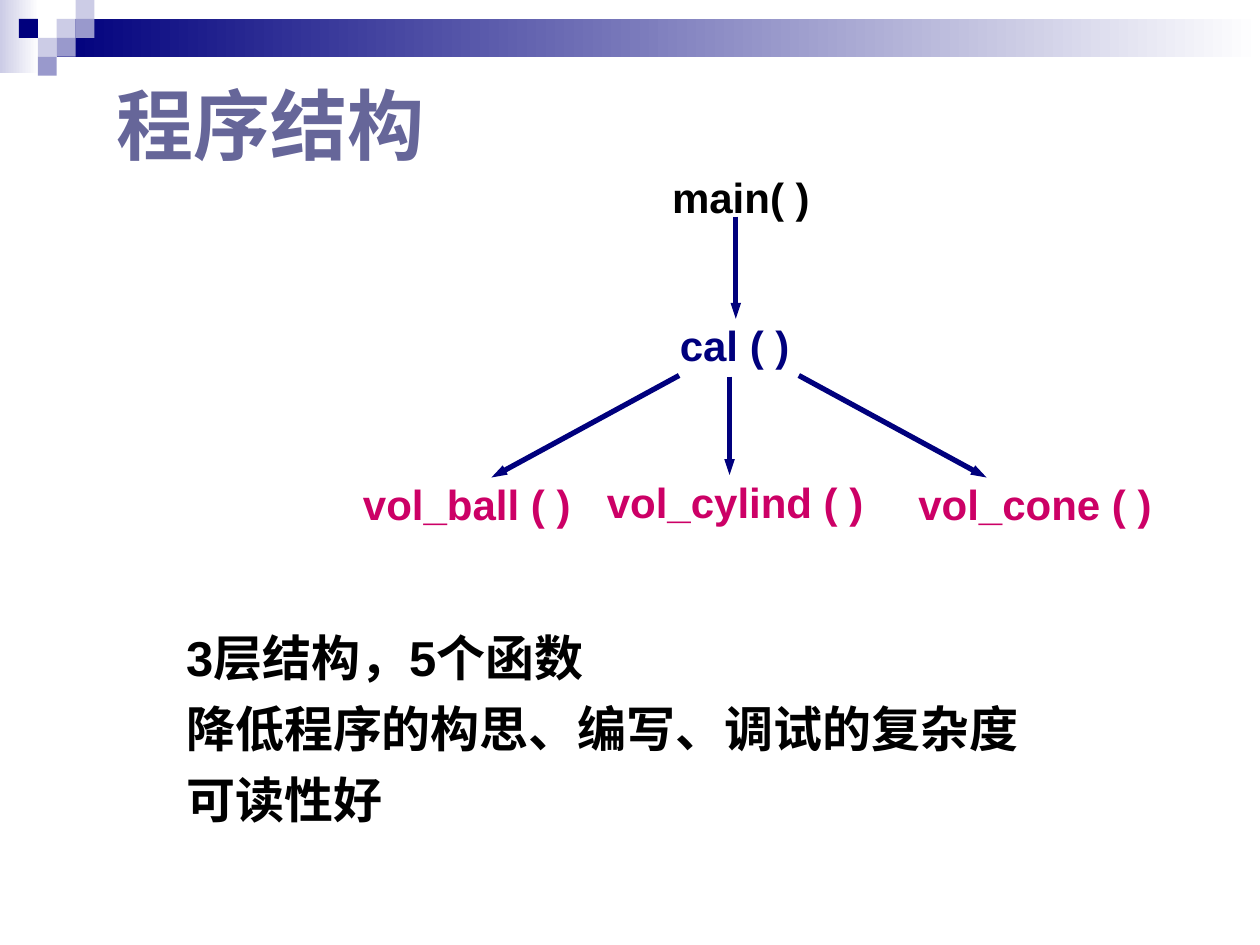
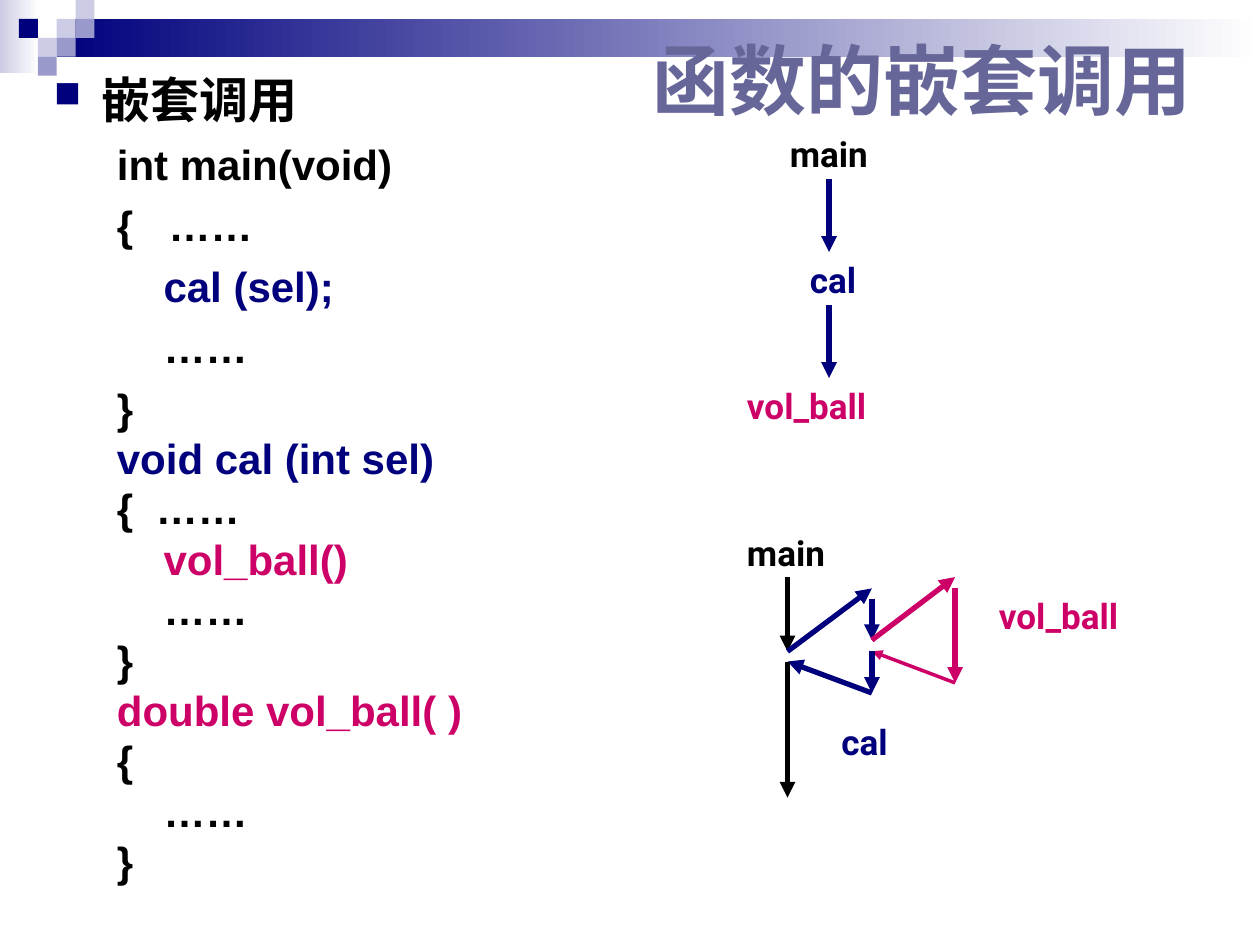
from lxml.etree import SubElement
from pptx import Presentation
from pptx.dml.color import RGBColor
from pptx.enum.shapes import MSO_CONNECTOR as Connector, MSO_SHAPE as Shape
from pptx.enum.text import MSO_ANCHOR as Anchor, PP_ALIGN as Align
from pptx.oxml.ns import qn
from pptx.util import Inches, Pt

COLORS = {
    "navy": "00007D",
    "pale": "CCCCE6",
    "lilac": "9999CC",
    "title": "666699",
    "pink": "CC0066",
    "black": "000000",
    "white": "FFFFFF",
}
BANDS = [(0, 0, 0.31, 0.58, "pale"), (0.45, 0.15, 9.55, 0.3, "navy")]
SQUARE = 0.15
SQUARES = [
    (3, 1, "pale"), (4, 0, "pale"), (4, 1, "lilac"), (2, 2, "pale"),
    (1, 1, "navy"), (3, 2, "lilac"), (2, 3, "lilac"),
]


def rgb(name):
    return RGBColor.from_string(COLORS[name])


def assign(target, values):
    for name, value in values.items():
        setattr(target, name, value)


class Deck:
    def __init__(self):
        self.prs = Presentation()
        assign(self.prs, {"slide_width": Inches(10), "slide_height": Inches(7.5)})
        self.slide = None

    def new_slide(self):
        self.slide = self.prs.slides.add_slide(self.prs.slide_layouts[6])
        for left, top, width, height, color in BANDS:
            fill = self.rect(left, top, width, height).fill
            fill.gradient()
            fill.gradient_angle = 0
            for stop, name in zip(fill.gradient_stops, (color, "white")):
                stop.color.rgb = rgb(name)
        for column, row, color in SQUARES:
            fill = self.rect(column * SQUARE, row * SQUARE, SQUARE, SQUARE).fill
            fill.solid()
            fill.fore_color.rgb = rgb(color)

    def rect(self, *box):
        shape = self.slide.shapes.add_shape(Shape.RECTANGLE, *map(Inches, box))
        shape.shadow.inherit = False
        shape.line.fill.background()
        return shape

    def frame(self, box, anchor=Anchor.TOP):
        frame = self.slide.shapes.add_textbox(*map(Inches, box)).text_frame
        assign(frame, {"word_wrap": True, "vertical_anchor": anchor})
        return frame

    def add_text(self, paragraph, text, size, color="black", font="Arial"):
        run = paragraph.add_run()
        run.text = text
        assign(run.font, {"size": Pt(size), "bold": True, "name": font})
        run.font.color.rgb = rgb(color)

    def title(self, text, box):
        self.add_text(self.frame(box, Anchor.MIDDLE).paragraphs[0], text, 44, "title")

    def label(self, text, box, color, size=24, font="Arial", align=Align.CENTER):
        paragraph = self.frame(box).paragraphs[0]
        paragraph.alignment = align
        self.add_text(paragraph, text, size, color, font)

    def body(self, lines, box):
        frame = self.frame(box)
        for index, line in enumerate(lines):
            text, size, color, before, margin, indent, bullet = line
            paragraph = frame.add_paragraph() if index else frame.paragraphs[0]
            paragraph.space_before = Pt(before)
            props = paragraph._p.get_or_add_pPr()
            props.set("marL", str(Inches(margin)))
            props.set("indent", str(Inches(indent)))
            if bullet:
                tint = SubElement(props, qn("a:buClr"))
                SubElement(tint, qn("a:srgbClr"), val=COLORS["navy"])
                SubElement(props, qn("a:buSzPct"), val="75000")
                SubElement(props, qn("a:buChar"), char=bullet)
            self.add_text(paragraph, text, size, color)

    def arrow(self, start, end, color="navy", width=3, head="med"):
        points = map(Inches, (*start, *end))
        arrow = self.slide.shapes.add_connector(Connector.STRAIGHT, *points)
        arrow.line.width = Pt(width)
        arrow.line.color.rgb = rgb(color)
        SubElement(arrow.line._get_or_add_ln(), qn("a:tailEnd"),
                   type="triangle", w=head, len="med")
        SubElement(arrow._element.spPr, qn("a:effectLst"))


def structure_slide(deck):
    deck.new_slide()
    points = ["3层结构，5个函数", "降低程序的构思、编写、调试的复杂度", "可读性好"]
    deck.body([(point, 28, "black", 7, 0.38, -0.38, None) for point in points],
              (1.38, 4.93, 6.93, 1.97))
    deck.title("程序结构", (0.83, 0.52, 8.5, 0.92))
    functions = [
        ("main( )", (4.97, 1.31, 1.82, 0.81), "black"),
        ("cal ( )", (4.92, 2.49, 1.82, 0.81), "navy"),
        ("vol_ball ( )", (2.64, 3.75, 2.13, 0.65), "pink"),
        ("vol_cylind ( )", (4.7, 3.73, 2.27, 0.59), "pink"),
        ("vol_cone ( )", (7.03, 3.75, 2.37, 0.65), "pink"),
    ]
    for function in functions:
        deck.label(*function)
    calls = [
        ((5.84, 1.72), (5.84, 2.53)), ((5.39, 2.98), (3.9, 3.79)),
        ((5.79, 2.99), (5.79, 3.77)), ((6.34, 2.98), (7.83, 3.79)),
    ]
    for start, end in calls:
        deck.arrow(start, end, head="sm")


def nesting_slide(deck):
    deck.new_slide()
    deck.title("函数的嵌套调用", (5.08, 0.21, 4.72, 0.83))
    outer, inner, wide_tab = (0.81, -0.31), (0.87, 0), (0.91, -0.41)
    main_code = [
        ("int main(void)", "black", outer), ("{\t……", "black", wide_tab),
        ("cal (sel);", "navy", inner), ("……", "black", inner), ("}", "black", outer),
    ]
    callee_code = [
        ("void cal (int sel)", "navy", outer), ("{\t……", "black", outer),
        ("vol_ball()", "pink", inner), ("……", "black", inner), ("}", "black", outer),
        ("double vol_ball( )", "pink", outer), ("{", "black", outer),
        ("……", "black", inner), ("}", "black", outer),
    ]
    lines = [("嵌套调用", 28, "black", 7, 0.38, -0.38, "■")]
    for code, before in ((main_code, 6), (callee_code, 0)):
        lines += [(text, 24, color, before, *indents, None)
                  for text, color, indents in code]
    deck.body(lines, (0.33, 0.5, 4.04, 6.67))

    names = [
        ("main", (5.83, 4.17, 1.08, 0.44), "black"),
        ("cal", (6.58, 5.67, 0.67, 0.44), "navy"),
        ("vol_ball", (7.83, 4.67, 1.5, 0.44), "pink"),
        ("main", (6.17, 1, 1.08, 0.44), "black"),
        ("cal", (6.33, 2, 0.67, 0.44), "navy"),
        ("vol_ball", (5.83, 3, 1.42, 0.44), "pink"),
    ]
    for name in names:
        deck.label(*name, size=20, font="Roboto", align=Align.LEFT)

    for top in (1.42, 2.42):
        deck.arrow((6.58, top), (6.58, top + 0.58))
    main_x, cal_x, ball_x = 6.25, 6.92, 7.58
    flow = [
        ((main_x, 4.58), (main_x, 5.17), "black"),
        ((main_x, 5.17), (cal_x, 4.67), "navy"),
        ((cal_x, 4.75), (cal_x, 5.08), "navy"),
        ((cal_x, 5.5), (main_x, 5.25), "navy"),
        ((main_x, 5.25), (main_x, 6.33), "black"),
        ((cal_x, 5.08), (ball_x, 4.58), "pink"),
        ((ball_x, 4.67), (ball_x, 5.42), "pink"),
        ((ball_x, 5.42), (cal_x, 5.17), "pink", 2),
        ((cal_x, 5.17), (cal_x, 5.5), "navy"),
    ]
    for step in flow:
        deck.arrow(*step)


def main():
    deck = Deck()
    structure_slide(deck)
    nesting_slide(deck)
    deck.prs.save("out.pptx")


if __name__ == "__main__":
    main()
